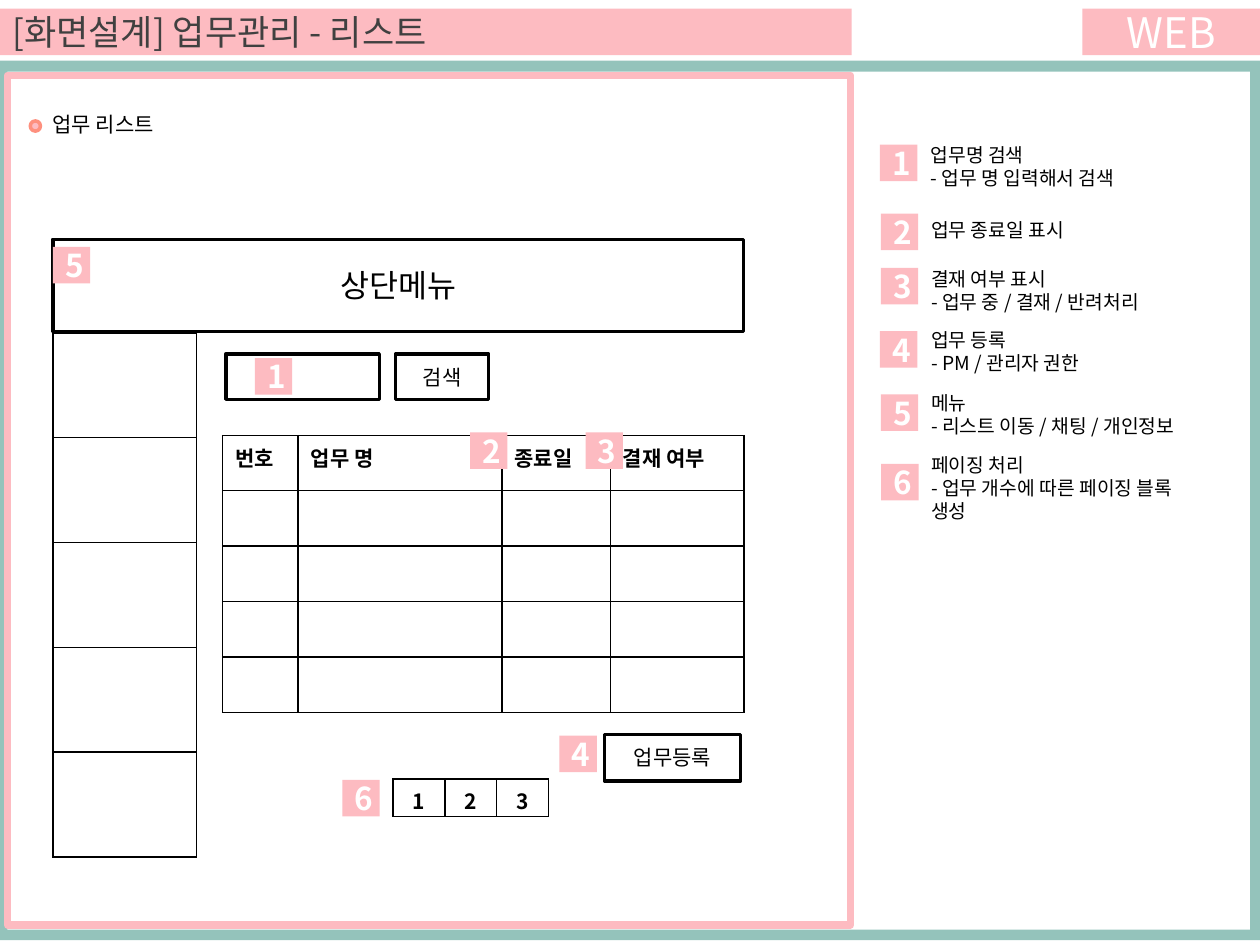
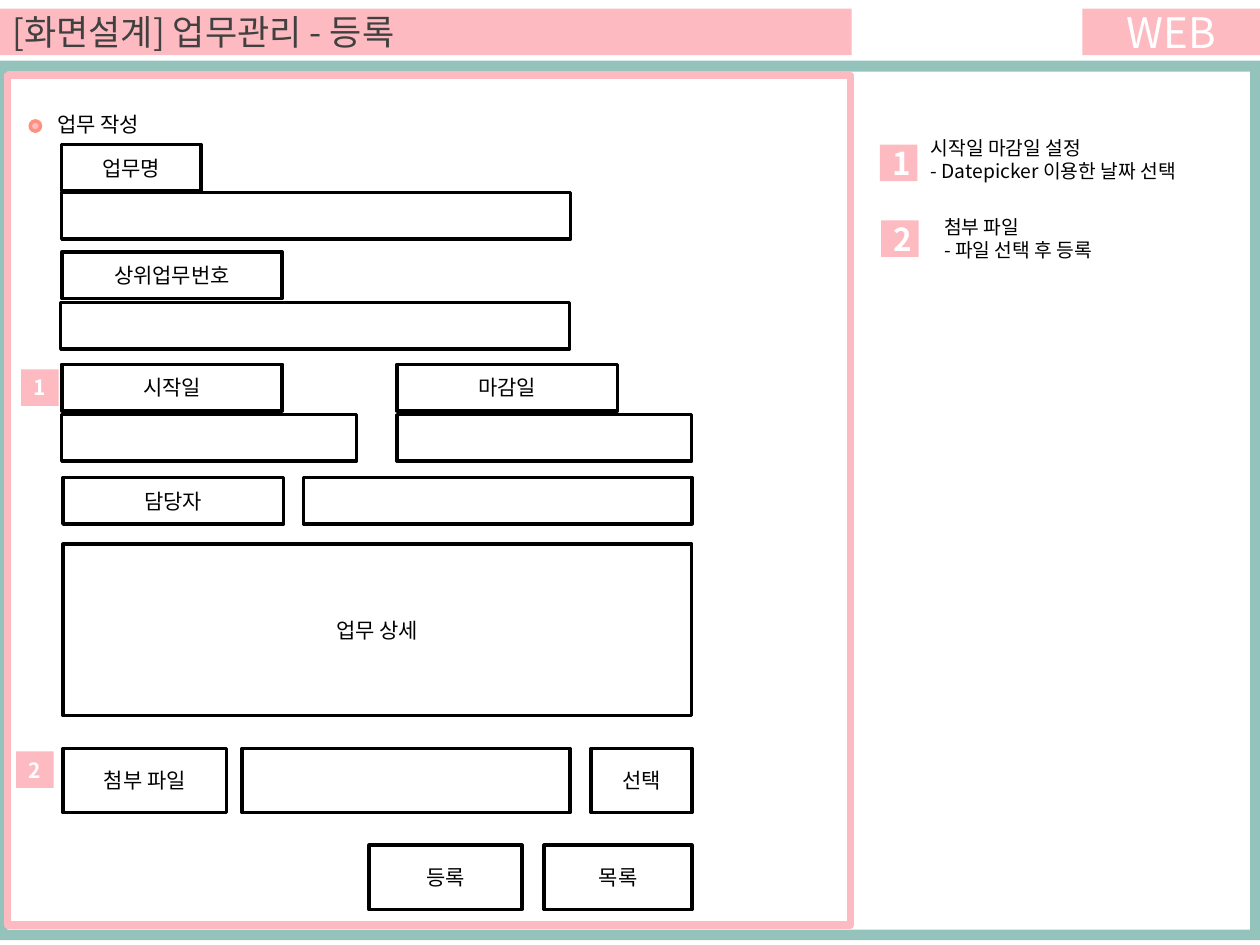
from typing import NamedTuple, Optional

from lxml.etree import SubElement
from pptx import Presentation
from pptx.dml.color import RGBColor
from pptx.enum.shapes import MSO_SHAPE
from pptx.enum.text import MSO_ANCHOR, PP_ALIGN
from pptx.oxml.ns import qn
from pptx.util import Pt

PINK = RGBColor(0xFD, 0xBB, 0xC1)
CORAL = RGBColor(0xFE, 0x90, 0x7E)
TEAL = RGBColor(0x94, 0xC3, 0xBB)
WHITE = RGBColor(0xFF, 0xFF, 0xFF)
BLACK = RGBColor(0, 0, 0)
GRAY = RGBColor(0x40, 0x40, 0x40)
FONT = "Noto Sans CJK KR"
ROW = 26.6
TALL = 36.7


class Style(NamedTuple):
    size: float
    color: RGBColor = BLACK
    bold: bool = False
    align: PP_ALIGN = PP_ALIGN.CENTER


class Look(NamedTuple):
    fill: Optional[RGBColor] = None
    line: Optional[RGBColor] = None
    width: float = 0
    form: MSO_SHAPE = MSO_SHAPE.RECTANGLE


class Box(NamedTuple):
    x: float
    y: float
    w: float
    h: float = ROW
    text: str = ""
    style: Style = Style(12)
    look: Look = Look(WHITE, BLACK, 2)


class Badge(NamedTuple):
    x: float
    y: float
    text: str
    size: float = 18


class Note(NamedTuple):
    x: float
    y: float
    w: float
    lines: list[str]


class Grid(NamedTuple):
    x: float
    y: float
    cols: list[float]
    rows: list[float]
    heads: list[str]
    style: Style


BODY = Style(11, align=PP_ALIGN.LEFT)
LABEL = Style(12, align=PP_ALIGN.LEFT)
FLAT = Look(PINK)

FRAME = [
    Box(0, 34.6, 720, 502.6, look=Look(TEAL)),
    Box(4.3, 41, 709.9, 490.3, look=Look(WHITE)),
    Box(4.3, 43.2, 481.7, 485.3, look=Look(line=PINK, width=4.5)),
    Box(17.3, 69.1, 5.8, 5.8, look=Look(PINK, CORAL, 2, MSO_SHAPE.OVAL)),
    Box(618.5, 5, 101.5, ROW, "WEB", Style(24, WHITE), FLAT),
]


def write(frame, lines: list[str], style: Style) -> None:
    frame.word_wrap = True
    form = {"name": FONT, "size": Pt(style.size), "bold": style.bold}
    for i, line in enumerate(lines):
        para = frame.add_paragraph() if i else frame.paragraphs[0]
        para.alignment = style.align
        run = para.add_run()
        run.text = line
        run.font.color.rgb = style.color
        for key, val in form.items():
            setattr(run.font, key, val)
        SubElement(run._r.get_or_add_rPr(), qn("a:ea"), typeface=FONT)


def paint(part, color: Optional[RGBColor]) -> None:
    if color is None:
        part.background()
    else:
        part.solid()
        part.fore_color.rgb = color


def draw_box(slide, box: Box) -> None:
    place = [Pt(n) for n in box[:4]]
    shape = slide.shapes.add_shape(box.look.form, *place)
    shape.shadow.inherit = False
    paint(shape.fill, box.look.fill)
    paint(shape.line.fill, box.look.line)
    if box.look.line is not None:
        shape.line.width = Pt(box.look.width)
    if box.text:
        shape.text_frame.vertical_anchor = MSO_ANCHOR.MIDDLE
        write(shape.text_frame, [box.text], box.style)


def draw_badge(slide, badge: Badge) -> None:
    style = Style(badge.size, WHITE, True)
    draw_box(slide, Box(badge.x, badge.y, 21.4, 20.9, badge.text, style, FLAT))


def draw_note(slide, note: Note, style: Style = BODY) -> None:
    tall = 7.2 + len(note.lines) * style.size * 1.2
    place = [Pt(n) for n in (note.x, note.y, note.w, tall)]
    write(slide.shapes.add_textbox(*place).text_frame, note.lines, style)


def edge_cell(cell) -> None:
    props = cell._tc.get_or_add_tcPr()
    for side in ("a:lnL", "a:lnR", "a:lnT", "a:lnB"):
        line = SubElement(props, qn(side), w=str(Pt(1)))
        fill = SubElement(line, qn("a:solidFill"))
        SubElement(fill, qn("a:srgbClr"), val=str(BLACK))


def draw_grid(slide, grid: Grid) -> None:
    size = (grid.x, grid.y, sum(grid.cols), sum(grid.rows))
    place = [Pt(n) for n in size]
    table = slide.shapes.add_table(len(grid.rows), len(grid.cols), *place).table
    table.first_row = table.horz_banding = False
    for col, wide in zip(table.columns, grid.cols):
        col.width = Pt(wide)
    for row, tall in zip(table.rows, grid.rows):
        row.height = Pt(tall)
    for cell in table.iter_cells():
        cell.margin_bottom = 0
        edge_cell(cell)
        paint(cell.fill, WHITE)
    for i, head in enumerate(grid.heads):
        write(table.cell(0, i).text_frame, [head], grid.style)


def add_page(deck, title: str, label: str, boxes: list[Box], grids: list[Grid],
             badges: list[Badge], notes: list[Note]) -> None:
    slide = deck.slides.add_slide(deck.slide_layouts[6])
    band = Box(0, 5, 486.7, ROW, f"[화면설계] 업무관리 - {title}",
               Style(20, GRAY, align=PP_ALIGN.LEFT), FLAT)
    for box in FRAME + [band]:
        draw_box(slide, box)
    draw_note(slide, Note(23, 60.5, 278, [label]), LABEL)
    for grid in grids:
        draw_grid(slide, grid)
    for box in boxes:
        draw_box(slide, box)
    for badge in badges:
        draw_badge(slide, badge)
    for note in notes:
        draw_note(slide, note)


def add_list(deck) -> None:
    boxes = [
        Box(30.2, 136.8, 394.6, 52.6, "상단메뉴", Style(18)),
        Box(129, 202.3, 87.8, 25.9),
        Box(226, 202.3, 53.3, 25.9, "검색"),
        Box(345.4, 419.6, 77.8, ROW, "업무등록"),
    ]
    grids = [
        Grid(127.2, 249, [43.2, 116.4, 62, 76.3], [31.3] + [31.7] * 4,
             ["번호", "업무 명", "종료일", "결재 여부"], Style(12, bold=True, align=PP_ALIGN.LEFT)),
        Grid(224.6, 445.2, [29.6] * 3, [21.4], ["1", "2", "3"], Style(12, bold=True)),
        Grid(30.2, 190.2, [82.1], [59.9] * 5, [], Style(12)),
    ]
    badges = [
        Badge(145.6, 204.6, "1"), Badge(268.6, 247, "2"), Badge(334.6, 247, "3"),
        Badge(319.7, 420.4, "4"), Badge(30.2, 141.1, "5"), Badge(195.6, 445.7, "6"),
    ]
    tops = [82.6, 122, 153, 189.2, 225.4, 265]
    lefts = [502.8, 503.3, 503.3, 502.8, 503.3, 503.5]
    badges += [Badge(x, y, str(i)) for i, (x, y) in enumerate(zip(lefts, tops), 1)]
    notes = [
        Note(524.7, 78.5, 160.6, ["업무명 검색", "- 업무 명 입력해서 검색"]),
        Note(525, 121, 137.5, ["업무 종료일 표시"]),
        Note(525, 149, 180.7, ["결재 여부 표시", "- 업무 중 / 결재 / 반려처리"]),
        Note(525, 183.8, 172.8, ["업무 등록", "- PM / 관리자 권한"]),
        Note(525, 220, 172.8, ["메뉴", "- 리스트 이동 / 채팅 / 개인정보"]),
        Note(525, 255.6, 172.8, ["페이징 처리", "- 업무 개수에 따른 페이징 블록 생성"]),
    ]
    add_page(deck, "리스트", "업무 리스트", boxes, grids, badges, notes)


def add_form(deck) -> None:
    boxes = [
        Box(35.3, 82.6, 79.6, ROW, "업무명"),
        Box(35.3, 110, 290.9),
        Box(35.3, 144, 126, ROW, "상위업무번호"),
        Box(34.7, 172.8, 290.9),
        Box(36, 272.9, 126, ROW, "담당자"),
        Box(173.5, 272.9, 221.8),
        Box(36, 311, 359.3, 97.9, "업무 상세"),
        Box(36, 427.7, 93.6, TALL, "첨부 파일"),
        Box(138.4, 427.7, 187.4, TALL),
        Box(337.8, 427.7, 57.6, TALL, "선택"),
        Box(211, 483, 87.2, TALL, "등록"),
        Box(311, 483, 84.4, TALL, "목록"),
    ]
    for x, text in ((35.3, "시작일"), (226.8, "마감일")):
        boxes += [Box(x, 208.2, 126, ROW, text), Box(x, 237, 168.5)]
    badges = [
        Badge(502.8, 82.6, "1"), Badge(503.5, 125.9, "2"),
        Badge(12.1, 211, "1", 12), Badge(9.2, 429.4, "2", 12),
    ]
    notes = [
        Note(524.7, 74.4, 176.4, ["시작일 마감일 설정", "- Datepicker 이용한 날짜 선택"]),
        Note(532.4, 119.5, 137.5, ["첨부 파일", "- 파일 선택 후 등록"]),
    ]
    add_page(deck, "등록", " 업무 작성", boxes, [], badges, notes)


def main() -> None:
    deck = Presentation()
    deck.slide_width, deck.slide_height = Pt(720), Pt(540)
    add_list(deck)
    add_form(deck)
    deck.save("out.pptx")


if __name__ == "__main__":
    main()
